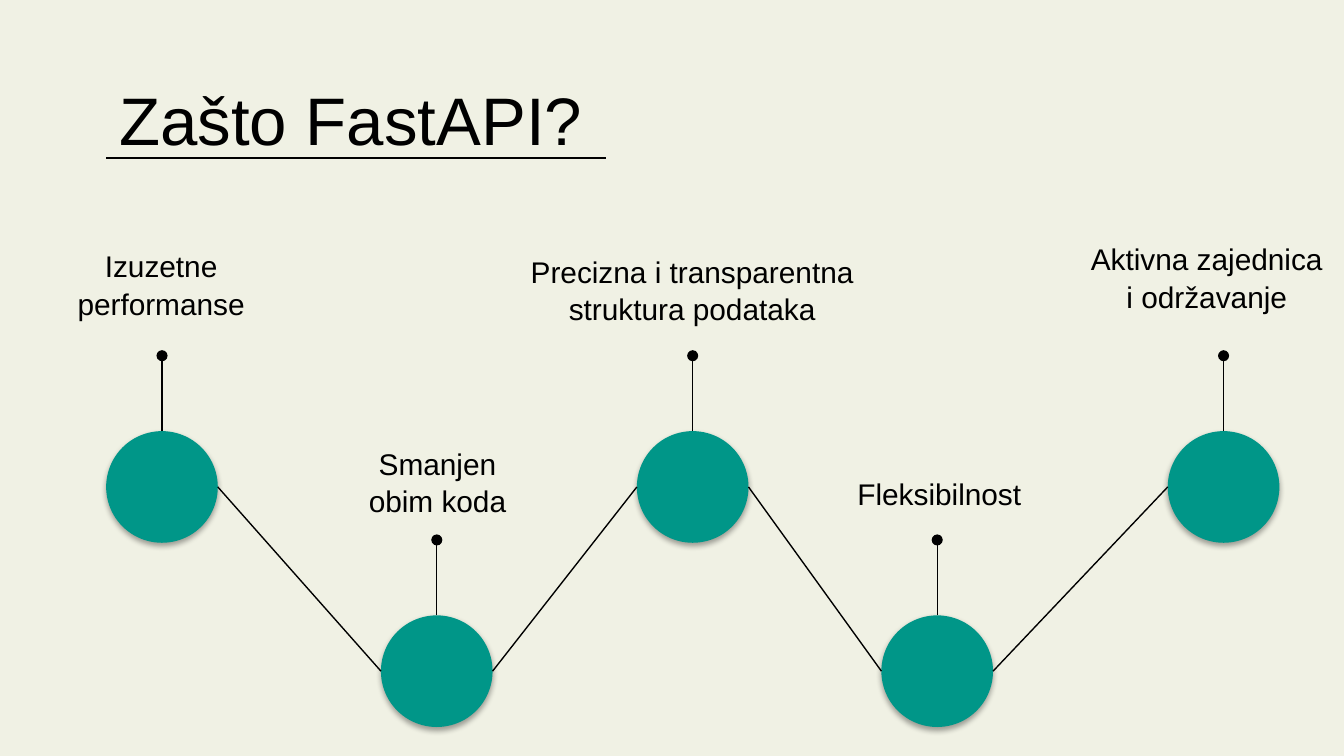
from dataclasses import dataclass
from itertools import pairwise

from lxml import etree
from pptx import Presentation
from pptx.dml.color import RGBColor
from pptx.enum.shapes import MSO_CONNECTOR, MSO_SHAPE
from pptx.enum.text import MSO_ANCHOR, PP_ALIGN
from pptx.oxml.ns import qn
from pptx.shapes.autoshape import Shape
from pptx.shapes.connector import Connector
from pptx.slide import Slide
from pptx.util import Pt

STRAIGHT = MSO_CONNECTOR.STRAIGHT
ROUNDED = MSO_SHAPE.ROUNDED_RECTANGLE
TOP, BOTTOM = MSO_ANCHOR.TOP, MSO_ANCHOR.BOTTOM
LEFT, CENTER = PP_ALIGN.LEFT, PP_ALIGN.CENTER
SIDE_TOP, SIDE_LEFT, SIDE_RIGHT = 0, 1, 3


@dataclass(frozen=True)
class Theme:
    background: RGBColor = RGBColor(0xF0, 0xF1, 0xE4)
    ink: RGBColor = RGBColor(0, 0, 0)
    accent: RGBColor = RGBColor(0x00, 0x96, 0x88)
    font: str = "Arial"
    title_size: float = 36
    label_size: float = 16
    line_spacing: float = 1.05
    line_width: float = 0.75


@dataclass(frozen=True)
class Box:
    left: float
    top: float
    width: float
    height: float


@dataclass(frozen=True)
class Reason:
    text: str
    label: Box
    left: float
    top: float


THEME = Theme()
DIAMETER = 59.8
STEM = 40.4
UPPER, LOWER = 231, 329.7
MARGIN = 56.9

REASONS = [
    Reason("Izuzetne performanse", Box(8.6, 154.8, 155.5, 24.5), MARGIN, UPPER),
    Reason("Smanjen obim koda", Box(180, 256.3, 108.7, 28.8), 204.1, LOWER),
    Reason("Precizna i transparentna struktura podataka",
           Box(265.7, 154.8, 210.2, 27.4), 341.2, UPPER),
    Reason("Fleksibilnost", Box(436.3, 254.9, 133.9, 26.6), 472.2, LOWER),
    Reason("Aktivna zajednica i održavanje",
           Box(573.8, 146.9, 145.4, 28.8), 625.6, UPPER),
]


def add_text(s: Slide, text: str, box: Box, size: float,
             align: PP_ALIGN, anchor: MSO_ANCHOR) -> None:
    sp = s.shapes.add_textbox(Pt(box.left), Pt(box.top), Pt(box.width), Pt(box.height))
    tf = sp.text_frame
    tf.word_wrap = True
    tf.vertical_anchor = anchor
    tf.margin_left = tf.margin_right = tf.margin_top = tf.margin_bottom = Pt(7.2)
    tf.text = text
    p = tf.paragraphs[0]
    p.alignment = align
    p.line_spacing = THEME.line_spacing
    font = p.runs[0].font
    font.name, font.size = THEME.font, Pt(size)
    font.color.rgb = THEME.ink


def add_line(s: Slide, x1: int, y1: int, x2: int, y2: int) -> Connector:
    line = s.shapes.add_connector(STRAIGHT, x1, y1, x2, y2)
    line.line.color.rgb = THEME.ink
    line.line.width = Pt(THEME.line_width)
    etree.SubElement(line._element.spPr, qn("a:effectLst"))
    return line


def add_soft_shadow(sp: Shape) -> None:
    sp.shadow.inherit = False
    effects = sp._element.spPr.find(qn("a:effectLst"))
    shadow = etree.SubElement(
        effects, qn("a:outerShdw"), blurRad=str(Pt(3.1)), dist=str(Pt(1.8)),
        dir="5400000", algn="bl", rotWithShape="0")
    color = etree.SubElement(shadow, qn("a:srgbClr"), val=str(THEME.ink))
    etree.SubElement(color, qn("a:alpha"), val="35000")


def add_circle(s: Slide, reason: Reason) -> Shape:
    sp = s.shapes.add_shape(ROUNDED, Pt(reason.left), Pt(reason.top),
                            Pt(DIAMETER), Pt(DIAMETER))
    sp.adjustments[0] = 0.5
    sp.fill.solid()
    sp.fill.fore_color.rgb = THEME.accent
    sp.line.fill.background()
    add_soft_shadow(sp)
    return sp


def add_stem(s: Slide, circle: Shape) -> None:
    x = circle.left + circle.width // 2
    stem = add_line(s, x, circle.top, x, circle.top - Pt(STEM))
    stem.begin_connect(circle, SIDE_TOP)
    etree.SubElement(stem.line._get_or_add_ln(), qn("a:tailEnd"), type="oval")


def add_link(s: Slide, start: Shape, end: Shape) -> None:
    link = add_line(s, start.left, start.top, end.left, end.top)
    link.begin_connect(start, SIDE_RIGHT)
    link.end_connect(end, SIDE_LEFT)


def main() -> None:
    prs = Presentation()
    prs.slide_width, prs.slide_height = Pt(720), Pt(405)
    s = prs.slides.add_slide(prs.slide_layouts[6])
    s.background.fill.solid()
    s.background.fill.fore_color.rgb = THEME.background

    # Underlined title
    add_text(s, "Zašto FastAPI?", Box(MARGIN, 32.4, 607, 45.4),
             THEME.title_size, LEFT, TOP)
    add_line(s, Pt(MARGIN), Pt(84.7), Pt(324.7), Pt(84.7))

    # Reasons: circle, stem and label
    circles = []
    for reason in REASONS:
        circle = add_circle(s, reason)
        add_stem(s, circle)
        add_text(s, reason.text, reason.label, THEME.label_size, CENTER, BOTTOM)
        circles.append(circle)

    # Zigzag between neighbouring circles
    for start, end in pairwise(circles):
        add_link(s, start, end)

    prs.save("out.pptx")


if __name__ == "__main__":
    main()
